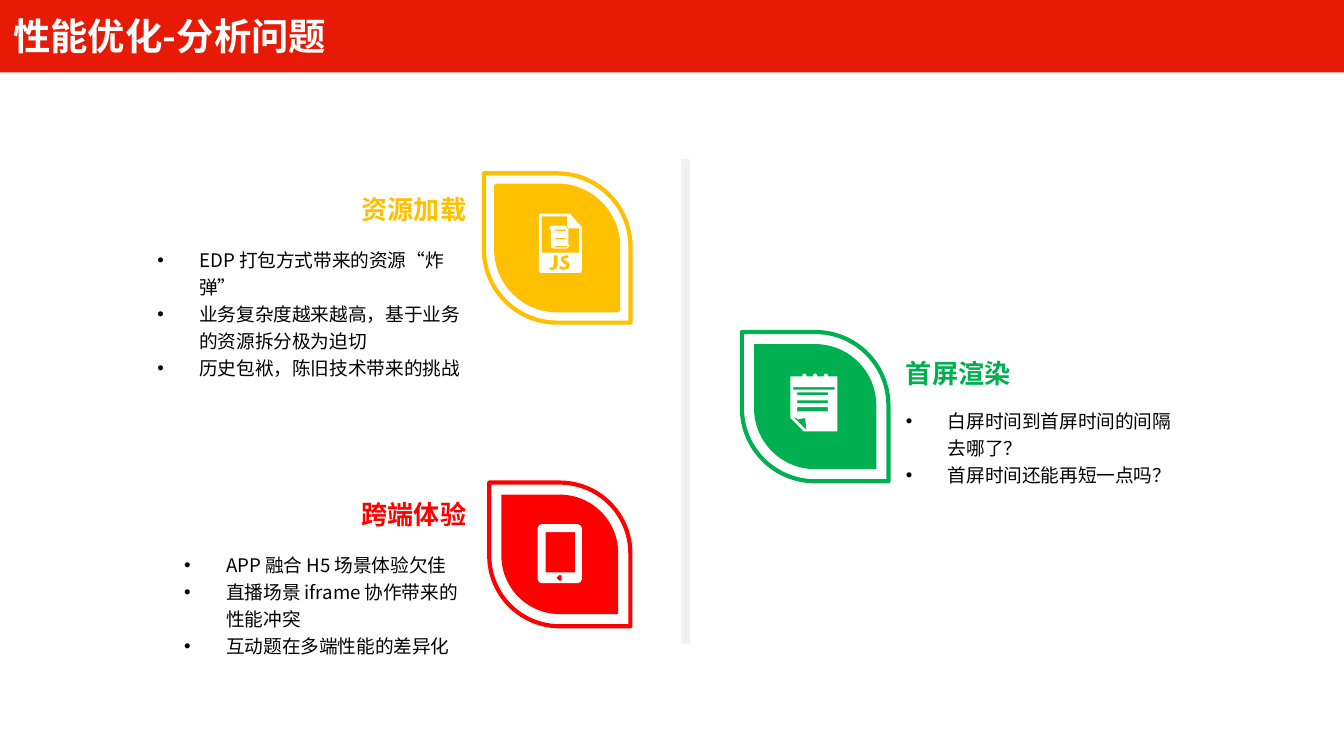
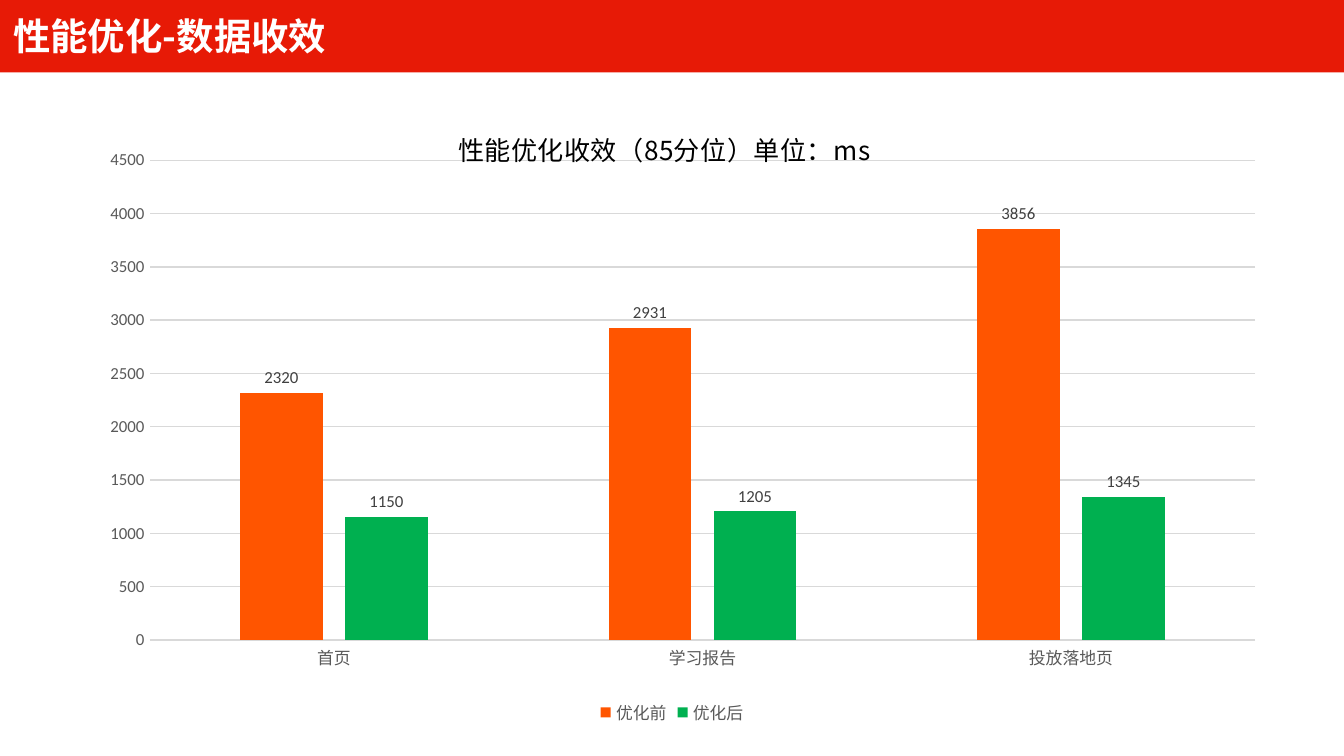
from math import cos, pi, sin

from lxml import etree
from pptx import Presentation
from pptx import util as u
from pptx.chart.data import CategoryChartData
from pptx.dml.color import RGBColor
from pptx.enum import chart as ch, shapes, text
from pptx.oxml.ns import qn

Pt = u.Pt
FONT = "Noto Sans CJK SC"
CHART_FONT = "Calibri"
RED, YELLOW, GREEN, ORANGE = "FF0000", "FFC000", "00B050", "FF5500"
BAND, WHITE, BLACK = "E71A06", "FFFFFF", "000000"
GREY, GRID = "595959", "D9D9D9"
UNIT = 0.72
MARGIN = 6.5


def rgb(value):
    return RGBColor.from_string(value)


def set_font(font, size, color, name=FONT, bold=False):
    font.size, font.bold, font.name = Pt(size), bold, name
    font.color.rgb = rgb(color)


def paint(sp, fill=None, line=None, width=0):
    sp.shadow.inherit = False
    if fill:
        sp.fill.solid()
        sp.fill.fore_color.rgb = rgb(fill)
    else:
        sp.fill.background()
    if line:
        sp.line.color.rgb = rgb(line)
        sp.line.width = Pt(width)
    else:
        sp.line.fill.background()


def add_box(slide, kind, x, y, w, h, fill=None, line=None, width=0):
    sp = slide.shapes.add_shape(kind, Pt(x), Pt(y), Pt(w), Pt(h))
    paint(sp, fill, line, width)
    return sp


def add_bullet(p):
    pPr = p._p.get_or_add_pPr()
    pPr.set("marL", str(Pt(22.5)))
    pPr.set("indent", str(Pt(-22.5)))
    etree.SubElement(pPr, qn("a:buFont")).set("typeface", "Arial")
    etree.SubElement(pPr, qn("a:buChar")).set("char", "•")


def add_text(slide, x, y, w, h, lines, size, color, bold=False, anchor="MIDDLE",
             align="LEFT", inset=(9.4, 5), bullets=False):
    tf = slide.shapes.add_textbox(Pt(x), Pt(y), Pt(w), Pt(h)).text_frame
    tf.word_wrap = True
    tf.vertical_anchor = text.MSO_ANCHOR[anchor]
    tf.margin_left = tf.margin_right = Pt(inset[0])
    tf.margin_top = tf.margin_bottom = Pt(inset[1])
    for i, line in enumerate(lines):
        p = tf.add_paragraph() if i else tf.paragraphs[0]
        p.alignment = text.PP_ALIGN[align]
        if bullets:
            p.line_spacing = 1.2
            add_bullet(p)
        r = p.add_run()
        r.text = line
        set_font(r.font, size, color, bold=bold)
        ea = etree.SubElement(r._r.get_or_add_rPr(), qn("a:ea"))
        ea.set("typeface", FONT)


def add_titled_slide(prs, title):
    slide = prs.slides.add_slide(prs.slide_layouts[6])
    add_box(slide, shapes.MSO_SHAPE.RECTANGLE, 0, 0, 720, 38.9, BAND)
    add_text(slide, 0, -2.9, 512, 44, [title], 20, WHITE, True, inset=(7.2, 3.6))
    return slide


def add_leaf(slide, x, y, w, h, color, inner_line=None):
    outline = add_box(slide, shapes.MSO_SHAPE.ROUND_2_DIAG_RECTANGLE,
                      x, y, w, h, line=color, width=2.25)
    core = add_box(slide, shapes.MSO_SHAPE.ROUND_2_DIAG_RECTANGLE,
                   x + MARGIN, y + MARGIN, w - 2 * MARGIN, h - 2 * MARGIN,
                   color, inner_line, 2)
    for sp in (outline, core):
        sp.rotation = 270
        sp.adjustments[0], sp.adjustments[1] = 0.5, 0


def rect(x1, y1, x2, y2):
    return [(x1, y1), (x2, y1), (x2, y2), (x1, y2)]


def circle(cx, cy, radius, steps=24):
    turns = [2 * pi * i / steps for i in range(steps)]
    return [(cx + radius * cos(t), cy + radius * sin(t)) for t in turns]


def add_icon(slide, x, y, contours):
    first, *rest = contours
    fb = slide.shapes.build_freeform(*first[0], scale=Pt(UNIT))
    fb.add_line_segments(first[1:], close=True)
    for points in rest:
        fb.move_to(*points[0])
        fb.add_line_segments(points[1:], close=True)
    paint(fb.convert_to_shape(Pt(x), Pt(y)), WHITE)


def tablet_icon():
    body = [(3, 0), (30, 0), (32, 1), (33, 3), (33, 41), (32, 43), (30, 44),
            (3, 44), (1, 43), (0, 41), (0, 3), (1, 1)]
    return [body, rect(6, 6, 28, 36), circle(16.5, 40, 2)]


def script_file_icon():
    page = [(1, 0), (22, 0), (23, 0.5), (32, 10), (32, 42), (31, 44),
            (1, 44), (0, 43), (0, 1)]
    window = [(1.5, 2), (21, 2), (21, 9), (22, 11), (30, 11), (30, 29), (1.5, 29)]
    scroll = [(9, 9), (20.5, 9), (21, 11), (21.5, 11), (21.5, 23), (23, 24),
              (21, 26), (11, 26), (9, 25), (9, 12), (8, 11), (8, 10)]
    letter_j = [(11, 31), (11, 38), (10, 40), (8, 40), (8, 42), (10, 42),
                (13, 41), (14, 38), (14, 31)]
    letter_s = [(20, 31), (17, 32), (16, 34), (18, 37), (20, 38), (20, 39),
                (19, 40), (16, 39), (15, 41), (18, 42), (22, 41), (23, 38),
                (22, 36), (18.5, 34), (20, 33), (22, 33), (22, 31)]
    rows = [rect(12, y, 20, y + 1) for y in (12, 15.5, 18)]
    return [page, window, scroll, letter_j, letter_s, *rows, rect(12, 24, 21, 25)]


def notepad_icon():
    top = [(0, 2)]
    for x in (9, 17, 25):
        top += [(x, 2), (x, 1), (x + 1, 0), (x + 2, 0), (x + 3, 1), (x + 3, 2)]
    page = top + [(35, 2), (35, 43), (10, 43), (0, 33)]
    fold = [(2, 32), (12, 42), (11, 33), (6, 33.5)]
    rows = [rect(5, y, 28, y + 2.5) for y in (13.5, 19.5, 25)]
    return [page, fold, rect(2, 9.5, 33, 11.5), *rows]


def add_topic(slide, x, w, title_y, body_y, color, title, lines, align, anchors,
              body_x=None):
    left = x if body_x is None else body_x
    add_text(slide, x, title_y, w, 21, [title], 14, color, True, anchors[0], align)
    add_text(slide, left, body_y, x + w - left, 36, lines, 10, BLACK,
             anchor=anchors[1], bullets=True)


def set_layout(parent, index, **values):
    for old in parent.findall(qn("c:layout")):
        parent.remove(old)
    layout = etree.Element(qn("c:layout"))
    manual = etree.SubElement(layout, qn("c:manualLayout"))
    if "w" in values:
        etree.SubElement(manual, qn("c:layoutTarget")).set("val", "inner")
    for axis in "xy":
        etree.SubElement(manual, qn(f"c:{axis}Mode")).set("val", "edge")
    for name, value in values.items():
        etree.SubElement(manual, qn(f"c:{name}")).set("val", str(value))
    parent.insert(index, layout)


def style_axis(axis):
    axis.major_tick_mark = axis.minor_tick_mark = ch.XL_TICK_MARK.NONE
    set_font(axis.tick_labels.font, 9, GREY, CHART_FONT)


def style_line(fmt):
    fmt.line.color.rgb = rgb(GRID)
    fmt.line.width = Pt(0.75)


def add_column_chart(slide, x, y, w, h, title, cats, series):
    data = CategoryChartData()
    data.categories = cats
    for name, values, _ in series:
        data.add_series(name, values)
    chart = slide.shapes.add_chart(ch.XL_CHART_TYPE.COLUMN_CLUSTERED,
                                   Pt(x), Pt(y), Pt(w), Pt(h), data).chart
    set_font(chart.font, 10, BLACK, CHART_FONT)
    chart.has_title = True
    r = chart.chart_title.text_frame.paragraphs[0].add_run()
    r.text = title
    set_font(r.font, 14, BLACK)
    set_layout(chart.chart_title._element, 1, x=0.32, y=0.05)
    set_layout(chart.plots[0]._element.getparent(), 0, x=0.07, y=0.11, w=0.91, h=0.75)

    chart.has_legend = True
    chart.legend.position = ch.XL_LEGEND_POSITION.BOTTOM
    chart.legend.include_in_layout = False
    set_font(chart.legend.font, 9, GREY, CHART_FONT)

    style_axis(chart.category_axis)
    style_line(chart.category_axis.format)
    axis = chart.value_axis
    style_axis(axis)
    axis.format.line.fill.background()
    style_line(axis.major_gridlines.format)
    axis.minimum_scale, axis.maximum_scale, axis.major_unit = 0, 4500, 500

    plot = chart.plots[0]
    plot.gap_width, plot.overlap, plot.vary_by_categories = 219, -27, False
    for ser, (_, _, color) in zip(plot.series, series):
        ser.format.fill.solid()
        ser.format.fill.fore_color.rgb = rgb(color)
        labels = ser.data_labels
        labels.show_value = True
        labels.position = ch.XL_LABEL_POSITION.OUTSIDE_END
        set_font(labels.font, 9, "404040", CHART_FONT)


def build_problems(prs):
    slide = add_titled_slide(prs, "性能优化-分析问题")
    add_box(slide, shapes.MSO_SHAPE.RECTANGLE, 365.8, 86.4, 2.9, 257.8,
            "EEECE1", "F2F2F2", 2)
    add_leaf(slide, 258.5, 93.6, 80, 78.5, YELLOW, YELLOW)
    add_leaf(slide, 396.7, 178.6, 80, 78.5, GREEN)
    add_leaf(slide, 261.4, 259.2, 77, 75.6, RED)
    add_topic(slide, 89.3, 170, 104.4, 126, YELLOW, "资源加载",
              ["EDP 打包方式带来的资源“炸弹”",
               "业务复杂度越来越高，基于业务的资源拆分极为迫切",
               "历史包袱，陈旧技术带来的挑战"],
              "RIGHT", ("BOTTOM", "TOP"), body_x=74.9)
    add_topic(slide, 475.9, 169.2, 189.4, 220.7, GREEN, "首屏渲染",
              ["白屏时间到首屏时间的间隔去哪了？", "首屏时间还能再短一点吗？"],
              "LEFT", ("MIDDLE", "MIDDLE"))
    add_topic(slide, 89.3, 170, 267.8, 289.4, RED, "跨端体验",
              ["APP 融合 H5 场景体验欠佳",
               "直播场景 iframe 协作带来的性能冲突",
               "互动题在多端性能的差异化"],
              "RIGHT", ("BOTTOM", "TOP"))
    add_icon(slide, 288, 280.8, tablet_icon())
    add_icon(slide, 288.7, 114.5, script_file_icon())
    add_icon(slide, 423.4, 200.2, notepad_icon())


def build_results(prs):
    slide = add_titled_slide(prs, "性能优化-数据收效")
    add_column_chart(slide, 34.6, 48.2, 650.9, 342.7,
                     "性能优化收效（85分位）单位：ms",
                     ["首页", "学习报告", "投放落地页"],
                     [("优化前", (2320, 2931, 3856), ORANGE),
                      ("优化后", (1150, 1205, 1345), GREEN)])


def main():
    prs = Presentation()
    prs.slide_width, prs.slide_height = Pt(720), Pt(405)
    build_problems(prs)
    build_results(prs)
    prs.save("out.pptx")


if __name__ == "__main__":
    main()
